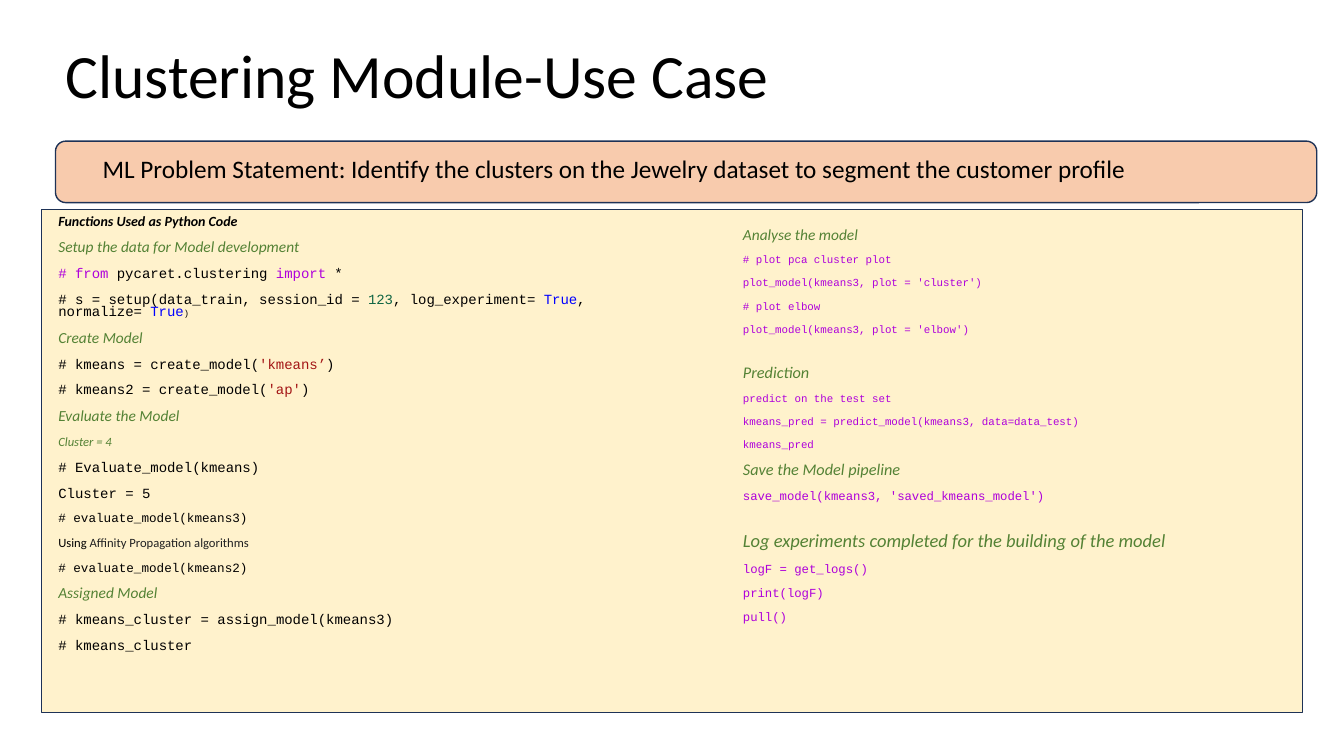
import pptx
import pptx.util
import pptx.dml.color
import pptx.enum.shapes
import pptx.enum.text

Inches = pptx.util.Inches
Pt = pptx.util.Pt
SHAPE = pptx.enum.shapes.MSO_SHAPE
ANCHOR = pptx.enum.text.MSO_ANCHOR
ALIGN = pptx.enum.text.PP_ALIGN

HUES = {
    "black": "000000", "dark": "212121", "green": "548235",
    "purple": "AF00DB", "blue": "0000FF", "teal": "116644",
    "red": "A31515", "peach": "F8CBAD", "cream": "FFF2CC", "navy": "1E3256",
}
SANS, MONO = "Calibri", "Courier New"
GAP, BREAK = 10, 23.5


def head(text, size=11, gap=GAP):
    """Green italic heading line."""
    return gap, [(text, SANS, size, "green")]


def code(*parts, size=10, hue="black"):
    """Code line; a part is plain text, (text, hue) or (text, hue, size)."""
    runs = []
    for part in parts:
        if isinstance(part, str):
            part = (part, hue)
        text, tint, *own = part
        runs.append((text, MONO, own[0] if own else size, tint))
    return GAP, runs


def plot(text, size=7.7):
    return code(text, size=size, hue="purple")


STEPS = [
    (GAP, [("Functions Used as Python Code", SANS, 10, "black")]),
    head("Setup the data for Model development"),
    code(("# from", "purple"), " pycaret.clustering ", ("import", "purple"), " *"),
    code("# s = setup(data_train, session_id = ", ("123", "teal"),
         ", log_experiment= ", ("True", "blue"), ", normalize= ",
         ("True", "blue"), (")", "black", 6.2)),
    head("Create Model"),
    code("# kmeans = create_model(", ("'kmeans’", "red"), ")"),
    code("# kmeans2 = create_model(", ("'ap'", "red"), ")"),
    head("Evaluate the Model"),
    head("Cluster = 4", 9),
    code("# Evaluate_model(kmeans)"),
    code("Cluster = 5"),
    code("# evaluate_model(kmeans3)", size=9),
    (GAP, [("Using ", SANS, 9, "black"),
           ("Affinity Propagation algorithms", SANS, 9, "dark")]),
    code("# evaluate_model(kmeans2)", size=9),
    head("Assigned Model"),
    code("# kmeans_cluster = assign_model(kmeans3)"),
    code("# kmeans_cluster"),
]
RESULTS = [
    head("Analyse the model"),
    plot("# plot pca cluster plot"),
    plot("plot_model(kmeans3, plot = 'cluster')"),
    plot("# plot elbow"),
    plot("plot_model(kmeans3, plot = 'elbow')"),
    head("Prediction", 11.6, BREAK),
    plot("predict on the test set"),
    plot("kmeans_pred = predict_model(kmeans3, data=data_test)"),
    plot("kmeans_pred"),
    head("Save the Model pipeline", 11.6),
    plot("save_model(kmeans3, 'saved_kmeans_model')", 8.8),
    head("Log experiments completed for the building of the model", 13.2, BREAK),
    plot("logF = get_logs()", 8.8),
    plot("print(logF)", 8.8),
    plot("pull()", 8.8),
]


def color(name):
    return pptx.dml.color.RGBColor.from_string(HUES[name])


def style(font, face, size, hue):
    font.name, font.size = face, Pt(size)
    font.color.rgb = color(hue)


def block(slide, kind, box, fill, line=None):
    shape = slide.shapes.add_shape(kind, *map(Inches, box))
    shape.shadow.inherit = False
    shape.fill.solid()
    shape.fill.fore_color.rgb = color(fill)
    if line:
        shape.line.color.rgb = color(line)
        shape.line.width = Pt(1)
    else:
        shape.line.fill.background()
    return shape


def title(slide, box, text):
    shape = slide.shapes.title
    shape.left, shape.top, shape.width, shape.height = map(Inches, box)
    frame = shape.text_frame
    frame.text = text
    frame.vertical_anchor = ANCHOR.MIDDLE
    para = frame.paragraphs[0]
    para.alignment = ALIGN.LEFT
    para.line_spacing = 0.9
    style(para.runs[0].font, SANS, 44, "black")


def banner(slide, box, text):
    x, y, w, h = box
    block(slide, SHAPE.ROUNDED_RECTANGLE, box, "peach", "navy")
    label = block(slide, SHAPE.RECTANGLE, (x + 0.37, y + 0.07, w - 0.51, h - 0.21), "peach")
    frame = label.text_frame
    frame.word_wrap = True
    frame.vertical_anchor = ANCHOR.TOP
    frame.text = text
    para = frame.paragraphs[0]
    para.alignment = ALIGN.LEFT
    style(para.runs[0].font, SANS, 18, "black")


def column(slide, box, lines):
    frame = slide.shapes.add_textbox(*map(Inches, box)).text_frame
    frame.word_wrap = True
    for i, (gap, runs) in enumerate(lines):
        para = frame.add_paragraph() if i else frame.paragraphs[0]
        para.line_spacing = 0.7
        para.space_before = Pt(gap if i else 0)
        for text, face, size, hue in runs:
            run = para.add_run()
            run.text = text
            style(run.font, face, size, hue)
            run.font.italic = hue == "green"
    return frame


def panel(slide, box):
    x, y, w, h = box
    block(slide, SHAPE.RECTANGLE, box, "cream", "navy")
    left = column(slide, (x + 0.07, y + 0.02, 5.85, h - 0.21), STEPS)
    lead = left.paragraphs[0].runs[0].font
    lead.bold = lead.italic = True
    column(slide, (x + 6.86, y + 0.15, 5.22, h - 0.56), RESULTS)


def main():
    deck = pptx.Presentation()
    deck.slide_width, deck.slide_height = Inches(13.33), Inches(7.5)
    slide = deck.slides.add_slide(deck.slide_layouts[5])
    title(slide, (0.55, 0.05, 11.5, 1.45), "Clustering Module-Use Case")
    banner(slide, (0.55, 1.4, 12.51, 0.61),
           "ML Problem Statement: Identify the clusters on the Jewelry dataset "
           "to segment the customer profile")
    panel(slide, (0.41, 2.08, 12.51, 4.99))
    deck.save("out.pptx")


if __name__ == "__main__":
    main()
